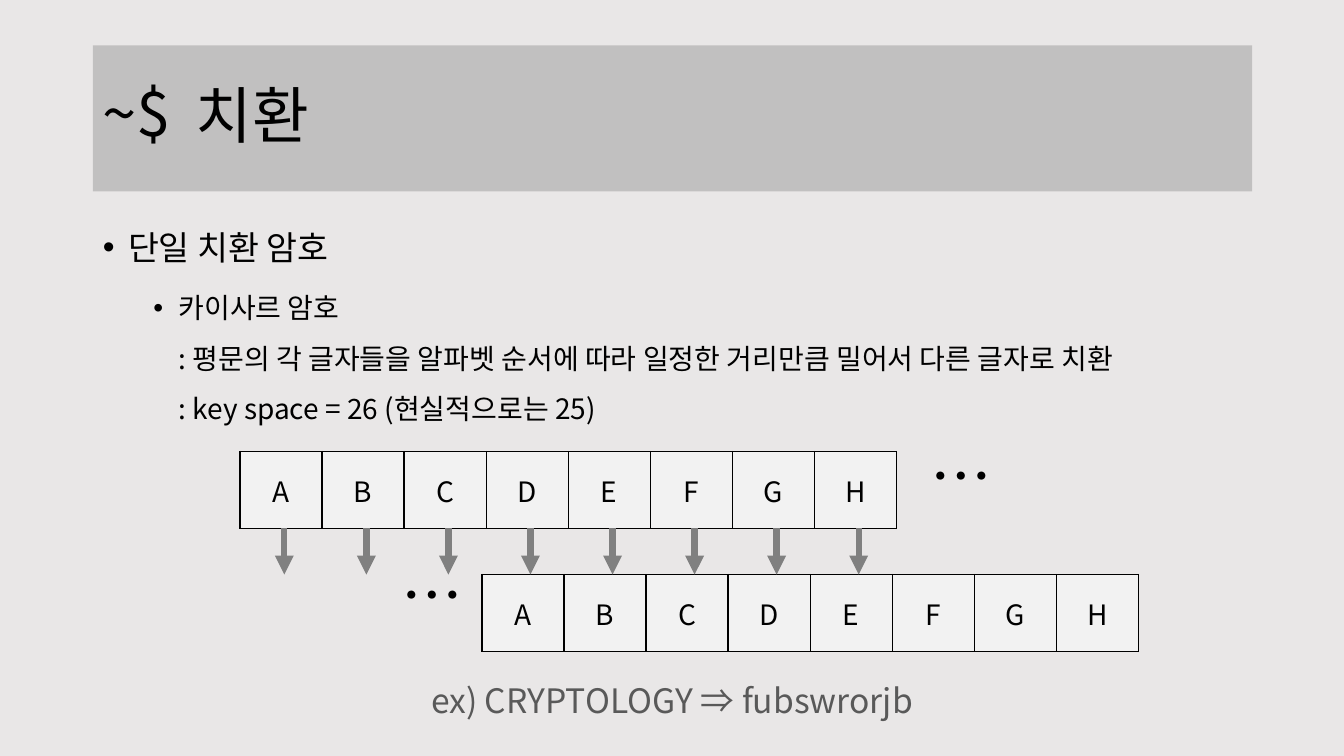
from lxml.etree import SubElement
from pptx import Presentation
from pptx.dml.color import RGBColor
from pptx.enum.shapes import MSO_CONNECTOR
from pptx.enum.text import MSO_ANCHOR, MSO_AUTO_SIZE, PP_ALIGN
from pptx.oxml.ns import qn
from pptx.util import Inches, Pt

FONT = "Noto Sans CJK KR"
COLORS = {"page": "E9E7E7", "ink": "000000", "cell": "F2F2F2",
          "arrow": "808080", "example": "595959"}
LETTERS = "ABCDEFGH"
CELL_WIDTH, CELL_HEIGHT = 0.8138, 0.76


def color(name):
    """Return the named colour."""
    return RGBColor.from_string(COLORS[name])


def format_paragraph(para, size, ink="ink", align=PP_ALIGN.LEFT):
    """Set one font for Latin and Korean letters, and the alignment."""
    para.alignment = align
    para.font.size = Pt(size)
    para.font.color.rgb = color(ink)
    para.font.name = FONT
    defaults = para._p.pPr.find(qn("a:defRPr"))
    SubElement(defaults, qn("a:ea"), typeface=FONT)


def add_text(page, box, text, size, ink="ink", align=PP_ALIGN.LEFT, wrap=True):
    """Add a text box with a single line."""
    frame = page.shapes.add_textbox(*map(Inches, box)).text_frame
    frame.word_wrap = wrap
    frame.text = text
    format_paragraph(frame.paragraphs[0], size, ink, align)


def place(shape, box):
    """Move a shape into the given box."""
    shape.left, shape.top, shape.width, shape.height = map(Inches, box)


def add_title(page, box):
    """Fill the title band with its prompt sign and heading."""
    left, top, width, height = box
    title = page.shapes.title
    place(title, box)
    title.fill.solid()
    title.fill.fore_color.rgb = color("ink")
    fill_color = title._element.spPr.find(qn("a:solidFill"))[0]
    SubElement(fill_color, qn("a:alpha"), val="17000")
    frame = title.text_frame
    frame.auto_size = MSO_AUTO_SIZE.NONE
    frame.vertical_anchor = MSO_ANCHOR.MIDDLE
    frame.margin_left = Inches(1.02)
    frame.text = "치환"
    frame.paragraphs[0].line_spacing = 0.9
    format_paragraph(frame.paragraphs[0], 44)
    add_text(page, (left, top + 0.24, 2.1, 0.84), "~$", 44)


def add_body(page, box):
    """Write the two-level list."""
    body = page.placeholders[1]
    place(body, box)
    frame = body.text_frame
    frame.auto_size = MSO_AUTO_SIZE.NONE
    frame.vertical_anchor = MSO_ANCHOR.TOP
    items = [("단일 치환 암호", 24, 10, 0.25),
             ("카이사르 암호\v: 평문의 각 글자들을 알파벳 순서에 따라 일정한 거리만큼 밀어서 다른 글자로 치환"
              "\v: key space = 26 (현실적으로는 25)", 20, 5, 0.75)]
    for level, (text, size, before, indent) in enumerate(items):
        para = frame.add_paragraph() if level else frame.paragraphs[0]
        para.text = text
        para.level = level
        para.line_spacing = 1.5
        para.space_before = Pt(before)
        properties = para._p.get_or_add_pPr()
        properties.set("marL", str(Inches(indent)))
        properties.set("indent", str(Inches(-0.25)))
        SubElement(properties, qn("a:buFont"), typeface="Arial")
        SubElement(properties, qn("a:buChar"), char="•")
        format_paragraph(para, size)


def add_cell_border(cell):
    """Draw a thin line on all four sides of a cell."""
    properties = cell._tc.get_or_add_tcPr()
    for index, side in enumerate(("lnL", "lnR", "lnT", "lnB")):
        line = properties.makeelement(qn(f"a:{side}"), {"w": str(Pt(1))})
        fill = SubElement(line, qn("a:solidFill"))
        SubElement(fill, qn("a:srgbClr"), val=COLORS["ink"])
        properties.insert(index, line)


def add_alphabet(page, left, top):
    """Add a one-row table of letters."""
    count = len(LETTERS)
    table = page.shapes.add_table(1, count, Inches(left), Inches(top),
                                  Inches(count * CELL_WIDTH), Inches(CELL_HEIGHT)).table
    table.first_row = table.horz_banding = False
    for cell, letter in zip(table.iter_cells(), LETTERS):
        cell.text = letter
        cell.vertical_anchor = MSO_ANCHOR.MIDDLE
        cell.fill.solid()
        cell.fill.fore_color.rgb = color("cell")
        add_cell_border(cell)
        format_paragraph(cell.text_frame.paragraphs[0], 20, align=PP_ALIGN.CENTER)


def add_arrow(page, x, top, bottom):
    """Add a thick arrow pointing down."""
    arrow = page.shapes.add_connector(MSO_CONNECTOR.STRAIGHT, Inches(x), Inches(top),
                                      Inches(x), Inches(bottom))
    arrow.line.color.rgb = color("arrow")
    arrow.line.width = Pt(4.5)
    SubElement(arrow.line._get_or_add_ln(), qn("a:tailEnd"), type="triangle")
    SubElement(arrow._element.spPr, qn("a:effectLst"))


def add_shift_diagram(page, left, top):
    """Show the alphabet shifted by three letters."""
    lower_left, lower_top = left + 2.4, top + 1.22
    add_alphabet(page, left, top)
    add_alphabet(page, lower_left, lower_top)
    add_text(page, (lower_left - 0.9, lower_top - 0.22, 0.88, 0.84), "…", 44, wrap=False)
    add_text(page, (left + 6.75, top - 0.18, 0.88, 0.84), "…", 44, wrap=False)
    for index in range(len(LETTERS)):
        add_arrow(page, left + 0.44 + index * CELL_WIDTH, top + CELL_HEIGHT, lower_top)


def main():
    """Build and save the slide."""
    deck = Presentation()
    deck.slide_width, deck.slide_height = Inches(13.33), Inches(7.5)
    page = deck.slides.add_slide(deck.slide_layouts[1])
    page.background.fill.solid()
    page.background.fill.fore_color.rgb = color("page")
    add_title(page, (0.92, 0.45, 11.5, 1.45))
    add_body(page, (0.92, 2, 11.5, 4.76))
    add_shift_diagram(page, 2.38, 4.48)
    add_text(page, (3.33, 6.7, 6.67, 0.5), "ex) CRYPTOLOGY ⇒ fubswrorjb", 24,
             "example", PP_ALIGN.CENTER)
    deck.save("out.pptx")


if __name__ == "__main__":
    main()
